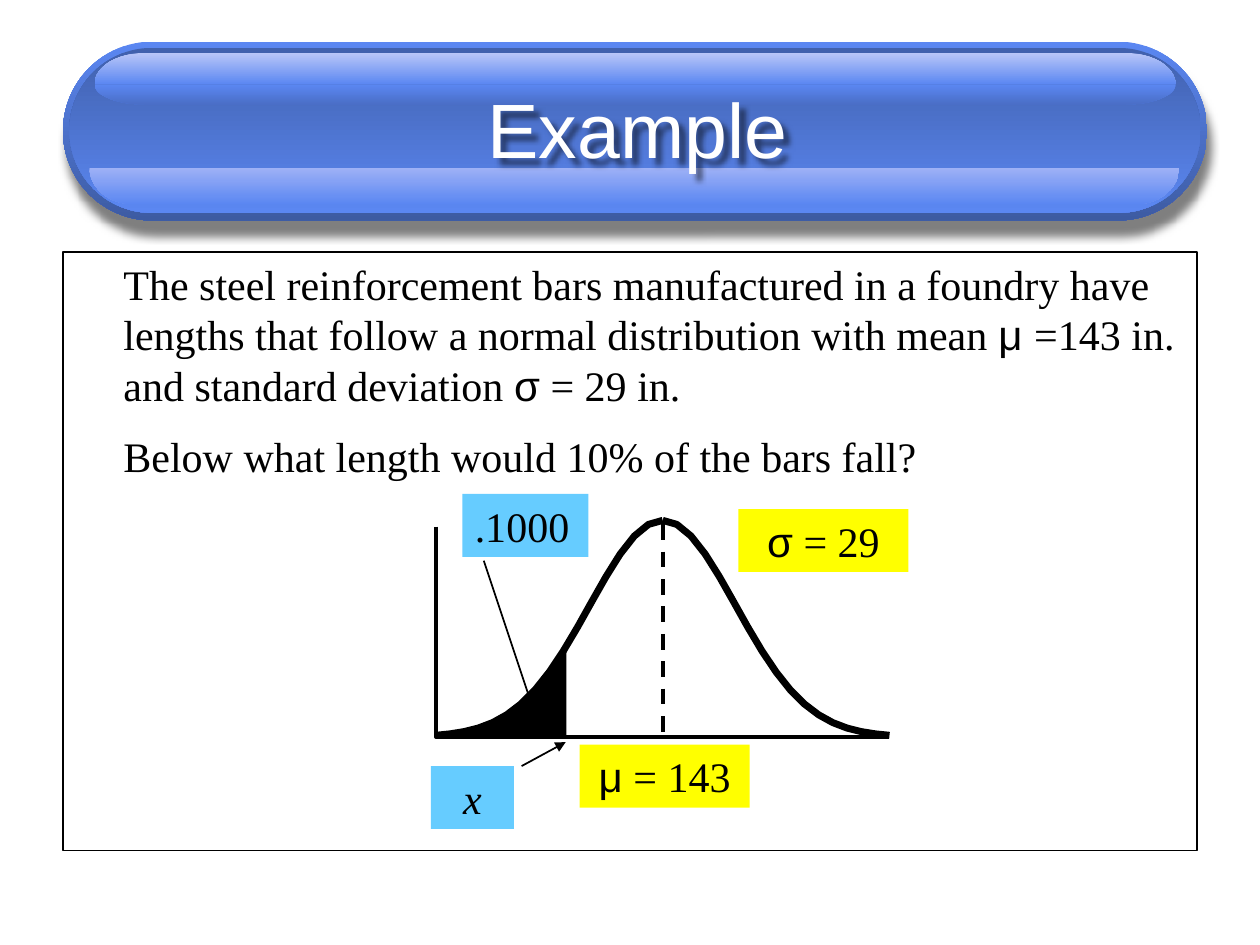
from dataclasses import dataclass
from math import cos, exp, pi, sin

from lxml.etree import SubElement
from pptx import Presentation
from pptx.dml.color import RGBColor as RGB
from pptx.enum.dml import MSO_LINE_DASH_STYLE as Dash
from pptx.enum.shapes import MSO_CONNECTOR as Connector, MSO_SHAPE as Shape
from pptx.enum.text import MSO_ANCHOR as Anchor, MSO_AUTO_SIZE as AutoSize, PP_ALIGN as Align
from pptx.oxml.ns import qn
from pptx.util import Emu, Inches, Pt


@dataclass(frozen=True)
class Theme:
    ink: str = "000000"
    paper: str = "FFFFFF"
    parameter: str = "FFFF00"
    answer: str = "66CCFF"
    rim: tuple = ("5B87F2", "3D5BA2")
    body: tuple = ("4161AD", "5B87F2")
    low_gloss: tuple = ("9EB1F6", "5B87F2")
    high_gloss: tuple = ("B9C6F8", "5B87F2")
    mid_gloss: tuple = ("5B87F2", "4A6EC6")
    sans: str = "Arial"
    serif: str = "Times New Roman"
    title_size: int = 44
    text_size: int = 24


THEME = Theme()
CELL = Inches(0.1)  # the slide is a grid of 100 columns by 75 rows

# Normal curve, in grid cells
MEAN, SPREAD, REACH = 52.6, 5.8, 18.0
BASE, PEAK = 58.5, 41.3
CUT = 44.9


def grid(*cells):
    return [Emu(round(c * CELL)) for c in cells]


def paint(sp, fill=None, line=None, width=0.75):
    """Fill with one colour, a vertical pair of colours, or nothing."""
    sp.shadow.inherit = False
    if fill is None:
        sp.fill.background()
    elif isinstance(fill, tuple):
        sp.fill.gradient()
        sp.fill.gradient_angle = 270
        for stop, colour in zip(sp.fill.gradient_stops, fill):
            stop.color.rgb = RGB.from_string(colour)
    else:
        sp.fill.solid()
        sp.fill.fore_color.rgb = RGB.from_string(fill)
    if line:
        sp.line.color.rgb = RGB.from_string(line)
        sp.line.width = Pt(width)
    else:
        sp.line.fill.background()


def add_shadow(sp, blur, distance, angle):
    sp.shadow.inherit = False
    effects = sp._element.spPr.find(qn("a:effectLst"))
    shadow = SubElement(effects, qn("a:outerShdw"), blurRad=str(Pt(blur)),
                        dist=str(Pt(distance)), dir=str(angle * 60000), rotWithShape="0")
    colour = SubElement(shadow, qn("a:srgbClr"), val=THEME.ink)
    SubElement(colour, qn("a:alpha"), val="50000")


def add_box(shapes, kind, place, fill):
    sp = shapes.add_shape(kind, *grid(*place))
    paint(sp, fill)
    return sp


def add_outline(shapes, points, fill=None, line=None, width=0.75, close=False):
    start, *rest = [grid(*point) for point in points]
    builder = shapes.build_freeform(*start)
    builder.add_line_segments(rest, close=close)
    sp = builder.convert_to_shape()
    paint(sp, fill, line, width)


def add_gloss(shapes, left, right, inset, wide, flat, fill):
    """A band with a wide edge, a flat edge and elliptical ends."""
    angles = [pi / 2 * i / 12 for i in range(13)]
    arc = [(inset * (1 - cos(a)), wide + (flat - wide) * sin(a)) for a in angles]
    points = [(left + x, y) for x, y in arc] + [(right - x, y) for x, y in reversed(arc)]
    add_outline(shapes, points, fill, close=True)


def add_line(shapes, start, end, width, dash=None, arrow=False):
    line = shapes.add_connector(Connector.STRAIGHT, *grid(*start, *end))
    line.line.color.rgb = RGB.from_string(THEME.ink)
    line.line.width = Pt(width)
    if dash:
        line.line.dash_style = dash
    if arrow:
        SubElement(line.line._get_or_add_ln(), qn("a:tailEnd"), type="triangle")
    SubElement(line._element.spPr, qn("a:effectLst"))


def add_runs(p, texts):
    """Greek letters are set in the sans face, all else in the serif."""
    for text in texts:
        r = p.add_run()
        r.text = text
        r.font.name = THEME.sans if text[0] in "μσ" else THEME.serif
        r.font.size = Pt(THEME.text_size)
        r.font.color.rgb = RGB.from_string(THEME.ink)


def add_label(shapes, place, texts, fill, align=Align.CENTER, italic=None):
    tf = add_box(shapes, Shape.RECTANGLE, place, fill).text_frame
    tf.vertical_anchor = Anchor.TOP
    tf.word_wrap = True
    p = tf.paragraphs[0]
    p.alignment = align
    add_runs(p, texts)
    for r in p.runs:
        r.font.italic = italic


def draw_banner(shapes):
    rim = add_box(shapes, Shape.ROUNDED_RECTANGLE, (5, 3.3, 90.8, 14.2), THEME.rim)
    add_shadow(rim, 5, 9.2, 77)
    inner = add_box(shapes, Shape.ROUNDED_RECTANGLE, (5.5, 3.8, 89.8, 13.1), THEME.body)
    for sp in (rim, inner):
        sp.adjustments[0] = 0.5
    add_gloss(shapes, 7.1, 93.6, 3.4, 13.3, 16.2, THEME.low_gloss)
    add_gloss(shapes, 7.5, 93.3, 4, 6.7, 4.2, THEME.high_gloss)
    add_gloss(shapes, 7.5, 93.3, 4, 6.7, 8.3, THEME.mid_gloss)


def place(sp, cells):
    sp.left, sp.top, sp.width, sp.height = grid(*cells)
    sp.text_frame.auto_size = AutoSize.NONE
    sp._element.getparent().append(sp._element)  # bring to front


def write_title(sp, text):
    place(sp, (8.7, 5.3, 83.8, 9.7))
    sp.text_frame.text = text
    sp.text_frame.vertical_anchor = Anchor.MIDDLE
    p = sp.text_frame.paragraphs[0]
    p.alignment = Align.CENTER
    font = p.runs[0].font
    font.name, font.size = THEME.sans, Pt(THEME.title_size)
    font.color.rgb = RGB.from_string(THEME.paper)
    add_shadow(sp, 3, 4, 45)


def write_body(sp, paragraphs):
    place(sp, (5, 20, 90, 47.5))
    paint(sp, THEME.paper, THEME.ink)
    tf = sp.text_frame
    for i, texts in enumerate(paragraphs):
        p = tf.add_paragraph() if i else tf.paragraphs[0]
        pPr = p._p.get_or_add_pPr()
        pPr.set("marL", str(Inches(0.38)))
        pPr.set("indent", "0")
        SubElement(pPr, qn("a:buNone"))
        p.space_before = Pt(THEME.text_size / 2 if i else 0)
        add_runs(p, texts)


def curve(start, end, steps=16):
    xs = [start + (end - start) * i / steps for i in range(steps + 1)]
    return [(x, BASE - (BASE - PEAK) * exp(-((x - MEAN) / SPREAD) ** 2 / 2)) for x in xs]


def draw_distribution(shapes):
    left, right = MEAN - REACH, MEAN + REACH
    # Shaded tail, curve, axes and mean line
    tail = curve(left + 2, CUT) + [(CUT, BASE), (left + 2, BASE)]
    add_outline(shapes, tail, THEME.ink, THEME.ink, close=True)
    for end in (right, left):
        add_outline(shapes, curve(MEAN, end), line=THEME.ink, width=4)
    axes = [(left, 41.8), (left, BASE), (right, BASE)]
    add_outline(shapes, axes, line=THEME.ink, width=2)
    add_line(shapes, (MEAN, 41.6), (MEAN, 58.3), 2.25, dash=Dash.DASH)
    # Parameters and answer with their pointers
    add_label(shapes, (46, 59.1, 13.5, 5), ["μ", " = 143"], THEME.parameter)
    add_label(shapes, (58.6, 40.4, 13.5, 5), ["σ", " = 29"], THEME.parameter)
    add_label(shapes, (36.7, 39.2, 10, 5), [".1000"], THEME.answer, Align.LEFT)
    add_line(shapes, (38.4, 44.5), (42.4, 56.5), 1, arrow=True)
    add_label(shapes, (34.2, 60.8, 6.6, 5), ["x"], THEME.answer, italic=True)
    add_line(shapes, (41.4, 60.8), (CUT, 58.9), 1, arrow=True)


def main():
    prs = Presentation()
    prs.slide_width, prs.slide_height = grid(100, 75)
    slide = prs.slides.add_slide(prs.slide_layouts[1])
    draw_banner(slide.shapes)
    write_title(slide.shapes.title, "Example")
    write_body(slide.placeholders[1], [
        ["The steel reinforcement bars manufactured in a foundry have lengths "
         "that follow a normal distribution with mean ", "μ ",
         "=143 in. and standard deviation ", "σ", " = 29 in."],
        ["Below what length would 10% of the bars fall?"],
    ])
    draw_distribution(slide.shapes)
    prs.save("out.pptx")


if __name__ == "__main__":
    main()
